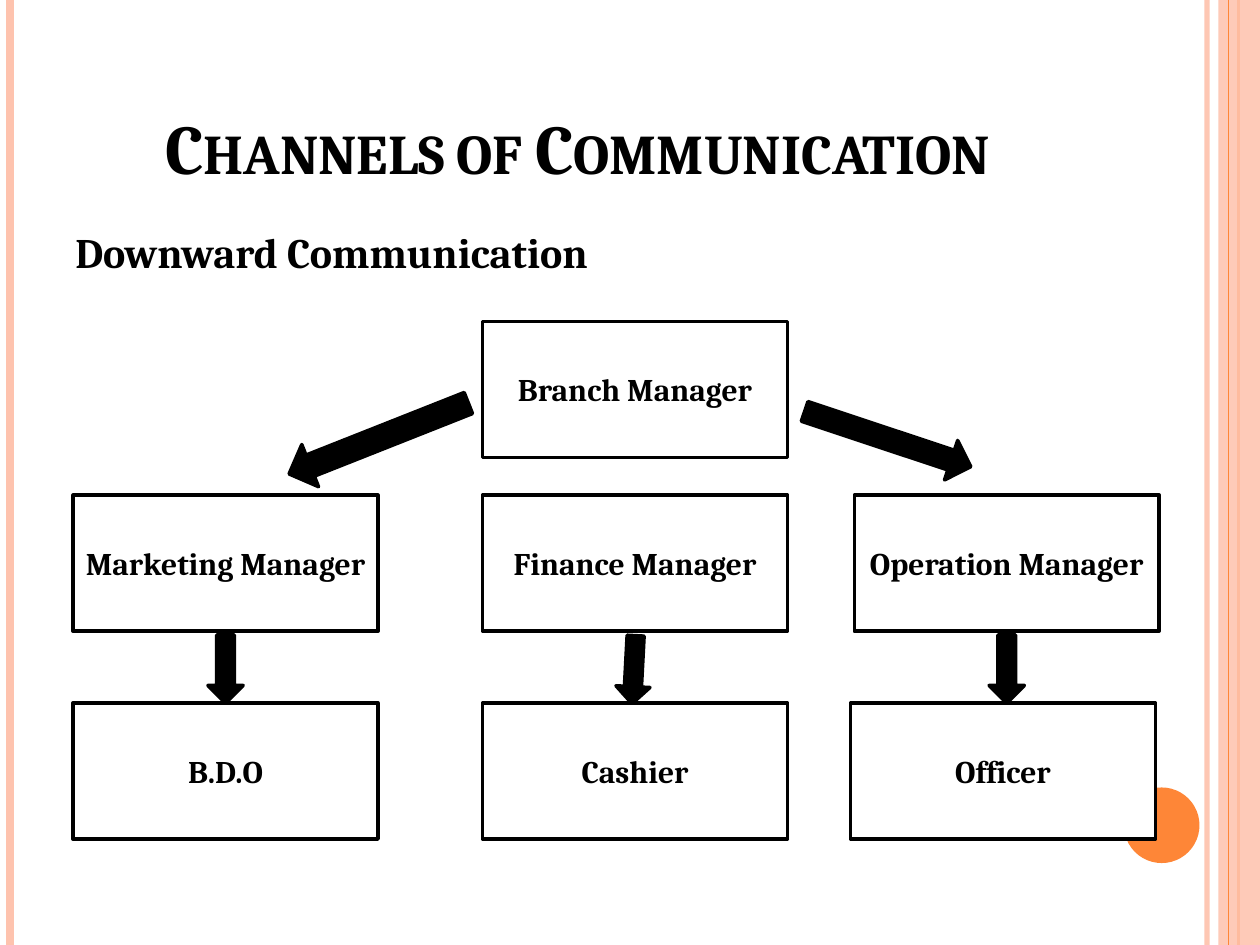
from lxml.etree import SubElement
from pptx import Presentation
from pptx.dml.color import RGBColor
from pptx.enum.shapes import MSO_CONNECTOR as Link, MSO_SHAPE as Shape
from pptx.enum.text import MSO_ANCHOR as Anchor, PP_ALIGN as Align
from pptx.oxml.ns import qn
from pptx.util import Inches, Pt

BLACK = RGBColor(0, 0, 0)
WHITE = RGBColor(0xFF, 0xFF, 0xFF)
PEACH = RGBColor(0xFE, 0xC3, 0xAE)
ORANGE = RGBColor(0xFE, 0x86, 0x37)
BOX_WIDTH, BOX_HEIGHT = 2.42, 1.08


def set_all(target, values):
    """Set each named attribute on the target."""
    for name, value in values.items():
        setattr(target, name, value)


def set_alpha(fill_parent, percent):
    """Make the solid colour under an element partly transparent."""
    color = next(fill_parent.iter(qn("a:srgbClr")))
    SubElement(color, qn("a:alpha")).set("val", str(percent * 1000))


def add_text(frame, text, size, align, anchor):
    """Write one bold black paragraph and return its run."""
    set_all(frame, {"word_wrap": True, "vertical_anchor": anchor})
    para = frame.paragraphs[0]
    para.alignment = align
    span = para.add_run()
    span.text = text
    set_all(span.font, {"name": "Cambria", "size": Pt(size), "bold": True})
    span.font.color.rgb = BLACK
    return span


def add_solid(page, kind, bounds, fill, outline=None):
    """Add a flat shape with an optional two-point outline."""
    shape = page.shapes.add_shape(kind, *map(Inches, bounds))
    shape.shadow.inherit = False
    shape.fill.solid()
    shape.fill.fore_color.rgb = fill
    if outline is None:
        shape.line.fill.background()
    else:
        shape.line.color.rgb = outline
        shape.line.width = Pt(2)
        SubElement(shape.line._get_or_add_ln(), qn("a:round"))
    return shape


def add_stripe(page, x, height, color, weight):
    """Add a full-height vertical line."""
    line = page.shapes.add_connector(
        Link.STRAIGHT, Inches(x), 0, Inches(x), Inches(height))
    line.line.color.rgb = color
    line.line.width = Pt(weight)
    SubElement(line._element.spPr, qn("a:effectLst"))
    return line


def add_frame(page, width, height):
    """Draw the edge stripes, side band and corner disc."""
    inner = add_stripe(page, width - 0.42, height, PEACH, 3)
    set_alpha(inner._element.spPr, 93)
    add_stripe(page, 0.08, height, PEACH, 4.5)
    add_stripe(page, width - 0.17, height, ORANGE, 1.5)
    band = add_solid(page, Shape.RECTANGLE, (width - 0.33, 0, 0.33, height), PEACH)
    set_alpha(band._element.spPr, 87)
    add_stripe(page, width - 0.25, height, ORANGE, 0.75)
    add_solid(page, Shape.OVAL, (width - 1.08, height - 1.25, 0.6, 0.6), ORANGE)


def add_headings(page, left, top, width):
    """Place the small-caps title and the subheading below it."""
    title = page.shapes.title
    set_all(title, {"left": Inches(left), "top": Inches(top),
                    "width": Inches(width), "height": Inches(1.25)})
    span = add_text(title.text_frame, "Channels of Communication", 40,
                    Align.CENTER, Anchor.BOTTOM)
    span.font._element.set("cap", "small")
    box = page.shapes.add_textbox(
        *map(Inches, (left, top + 1.45, width, 0.6)))
    add_text(box.text_frame, "Downward Communication", 24, Align.LEFT, Anchor.TOP)
    box.text_frame.paragraphs[0].space_before = Pt(6)


def add_chart_boxes(page, left, top):
    """Draw the organisation boxes and the arrows between them."""
    boxes = [
        (3.25, 0, "Branch Manager"),
        (6.2, 1.38, "Operation Manager"),
        (3.25, 1.38, "Finance Manager"),
        (0, 1.38, "Marketing Manager"),
        (6.17, 3.03, "Officer"),
        (3.25, 3.03, "Cashier"),
        (0, 3.03, "B.D.O"),
    ]
    for x, y, label in boxes:
        box = add_solid(page, Shape.RECTANGLE,
                        (left + x, top + y, BOX_WIDTH, BOX_HEIGHT), WHITE, BLACK)
        add_text(box.text_frame, label, 18, Align.CENTER, Anchor.MIDDLE)
    arrows = [
        (1.66, 0.75, 1.53, 0.36, 158.4),
        (7.14, 2.62, 0.54, 0.28, 90),
        (4.18, 2.63, 0.54, 0.27, 93),
        (0.94, 2.62, 0.54, 0.28, 90),
        (5.77, 0.77, 1.39, 0.33, 18.4),
    ]
    for x, y, width, height, angle in arrows:
        arrow = add_solid(page, Shape.RIGHT_ARROW,
                          (left + x, top + y, width, height), BLACK, BLACK)
        arrow.rotation = angle


def build():
    """Build and save the one-slide deck."""
    deck = Presentation()
    set_all(deck, {"slide_width": Inches(10), "slide_height": Inches(7.5)})
    page = deck.slides.add_slide(deck.slide_layouts[5])
    page.background.fill.solid()
    page.background.fill.fore_color.rgb = WHITE
    add_frame(page, 10, 7.5)
    add_headings(page, 0.5, 0.3, 8.17)
    add_chart_boxes(page, 0.58, 2.55)
    deck.save("out.pptx")


build()
